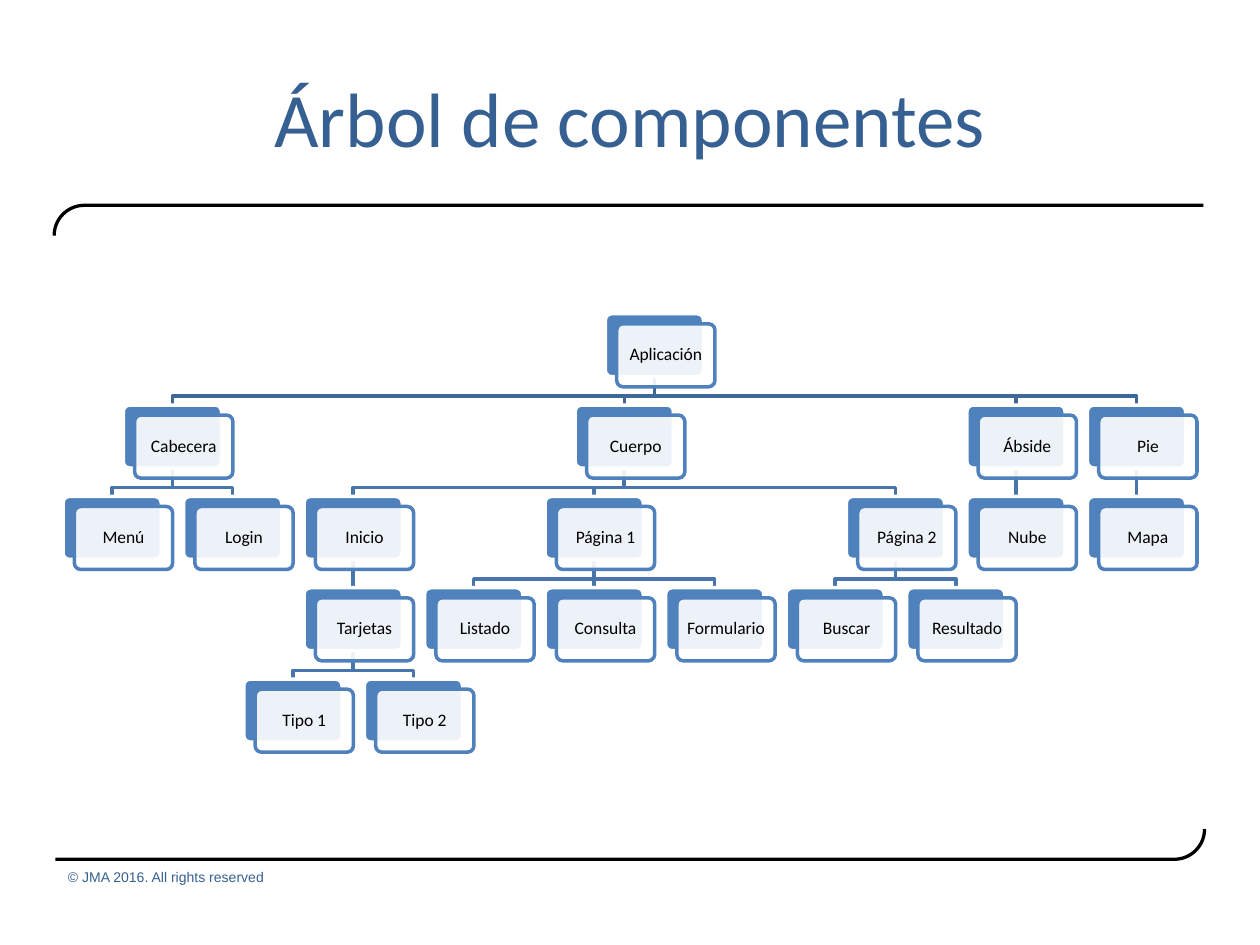
import math

import pptx
import pptx.dml.color
import pptx.enum.shapes
import pptx.enum.text
import pptx.util
from lxml import etree
from pptx.oxml.ns import qn
from pptx.util import Inches

COLORS = {
    "title": "376092", "rule": "000000", "card": "4F81BD", "white": "FFFFFF",
    "text": "000000", "trunk": "3F6797", "branch": "4875AC",
}

# Each node is (name, children), or (name, column) for a leaf
TREE = ("Aplicación", [
    ("Cabecera", [("Menú", 0), ("Login", 1)]),
    ("Cuerpo", [
        ("Inicio", [("Tarjetas", [("Tipo 1", 1.5), ("Tipo 2", 2.5)])]),
        ("Página 1", [("Listado", 3), ("Consulta", 4), ("Formulario", 5)]),
        ("Página 2", [("Buscar", 6), ("Resultado", 7)]),
    ]),
    ("Ábside", [("Nube", 7.5)]),
    ("Pie", [("Mapa", 8.5)]),
])
ROOT_COL = 4.5
LAST_COL, LAST_ROW = 8.5, 4
CARD_W, CARD_H = 0.78, 0.5
SHIFT_X, SHIFT_Y = 0.09, 0.08
BEND = 0.07


def rgb(name):
    return pptx.dml.color.RGBColor.from_string(COLORS[name])


def stroke(line, color, width=2):
    line.color.rgb = rgb(color)
    line.width = pptx.util.Pt(width)


def style(frame, font, size, color, align=None):
    para = frame.paragraphs[0]
    para.alignment = align
    face = para.runs[0].font
    face.name, face.size = font, pptx.util.Pt(size)
    face.color.rgb = rgb(color)
    return para


def trace(slide, points, color, width=2):
    """Draw an open line through points given in inches."""
    spots = [(Inches(x), Inches(y)) for x, y in points]
    pen = slide.shapes.build_freeform(*spots[0])
    pen.add_line_segments(spots[1:], close=False)
    shape = pen.convert_to_shape()
    shape.shadow.inherit = False
    shape.fill.background()
    stroke(shape.line, color, width)


def add_title(slide, left, top, width, height):
    title = slide.shapes.title
    title.left, title.top = Inches(left), Inches(top)
    title.width, title.height = Inches(width), Inches(height)
    frame = title.text_frame
    frame.text = "Árbol de componentes"
    frame.vertical_anchor = pptx.enum.text.MSO_ANCHOR.MIDDLE
    style(frame, "Calibri", 44, "title", pptx.enum.text.PP_ALIGN.CENTER)


def add_rule(slide, left, top, width, height, turn):
    """Rule with a rounded end: down at the left, or up at the right if turned."""
    angles = [math.radians(5 * i) for i in range(19)]
    points = [(height * (1 - math.cos(a)), height * (1 - math.sin(a))) for a in angles]
    points.append((width, 0))
    if turn:
        points = [(width - x, height - y) for x, y in points]
    trace(slide, [(left + x, top + y) for x, y in points], "rule", 1.88)


def add_footer(slide, left, top, width, height):
    box = slide.shapes.add_textbox(*map(Inches, (left, top, width, height)))
    frame = box.text_frame
    frame.word_wrap = False
    frame.text = "© JMA 2016. All rights reserved"
    style(frame, "Arial", 8, "title").line_spacing = 0.93


def add_link(slide, start, end, color):
    (x1, y1), (x2, y2) = start, end
    if abs(x1 - x2) > 0.01:
        bend = y2 - BEND
        trace(slide, [start, (x1, bend), (x2, bend), end], color)
        return
    link = slide.shapes.add_connector(
        pptx.enum.shapes.MSO_CONNECTOR.STRAIGHT, *map(Inches, (x1, y1, x2, y2)))
    stroke(link.line, color)
    etree.SubElement(link._element.spPr, qn("a:effectLst"))


def add_plate(slide, left, top, fill, line):
    plate = slide.shapes.add_shape(
        pptx.enum.shapes.MSO_SHAPE.ROUNDED_RECTANGLE,
        *map(Inches, (left, top, CARD_W, CARD_H)))
    plate.adjustments[0] = 0.1
    plate.shadow.inherit = False
    plate.fill.solid()
    plate.fill.fore_color.rgb = rgb(fill)
    stroke(plate.line, line)
    return plate


def add_card(slide, name, left, top):
    add_plate(slide, left, top, "card", "white")
    front = add_plate(slide, left + SHIFT_X, top + SHIFT_Y, "white", "card")
    color = front._element.spPr.find(qn("a:solidFill"))[0]
    etree.SubElement(color, qn("a:alpha"), val="90000")
    frame = front.text_frame
    frame.word_wrap = True
    frame.margin_left = frame.margin_right = Inches(0.05)
    frame.margin_top = frame.margin_bottom = Inches(0.05)
    frame.vertical_anchor = pptx.enum.text.MSO_ANCHOR.MIDDLE
    frame.text = name
    para = style(frame, "Calibri", 10, "text", pptx.enum.text.PP_ALIGN.CENTER)
    para.line_spacing = 0.9


def place(node, row, cards, links):
    """Collect cards and links; a parent is centred over its children."""
    name, kids = node
    if isinstance(kids, list):
        cols = [place(kid, row + 1, cards, links) for kid in kids]
        col = (cols[0] + cols[-1]) / 2 if row else ROOT_COL
        links += [(col, kid, row) for kid in cols]
    else:
        col = kids
    cards.append((name, col, row))
    return col


def add_tree(slide, left, top, width, height):
    step_x = (width - CARD_W - SHIFT_X) / LAST_COL
    step_y = (height - CARD_H - SHIFT_Y) / LAST_ROW
    cards, links = [], []
    place(TREE, 0, cards, links)
    # Links lie behind the cards
    for col, kid, row in links:
        mid = left + CARD_W / 2
        start = (mid + col * step_x, top + row * step_y + CARD_H)
        end = (mid + kid * step_x, top + (row + 1) * step_y)
        add_link(slide, start, end, "branch" if row else "trunk")
    for name, col, row in cards:
        add_card(slide, name, left + col * step_x, top + row * step_y)


def main():
    deck = pptx.Presentation()
    deck.slide_width, deck.slide_height = Inches(10), Inches(7.5)
    slide = deck.slides.add_slide(deck.slide_layouts.get_by_name("Title Only"))
    add_footer(slide, 0.44, 6.86, 1.79, 0.23)
    add_rule(slide, 0.43, 1.63, 9.12, 0.24, False)
    add_rule(slide, 0.44, 6.58, 9.12, 0.24, True)
    add_title(slide, 0.5, 0.3, 9, 1.25)
    add_tree(slide, 0.5, 2.49, 9, 3.48)
    deck.save("out.pptx")


if __name__ == "__main__":
    main()
